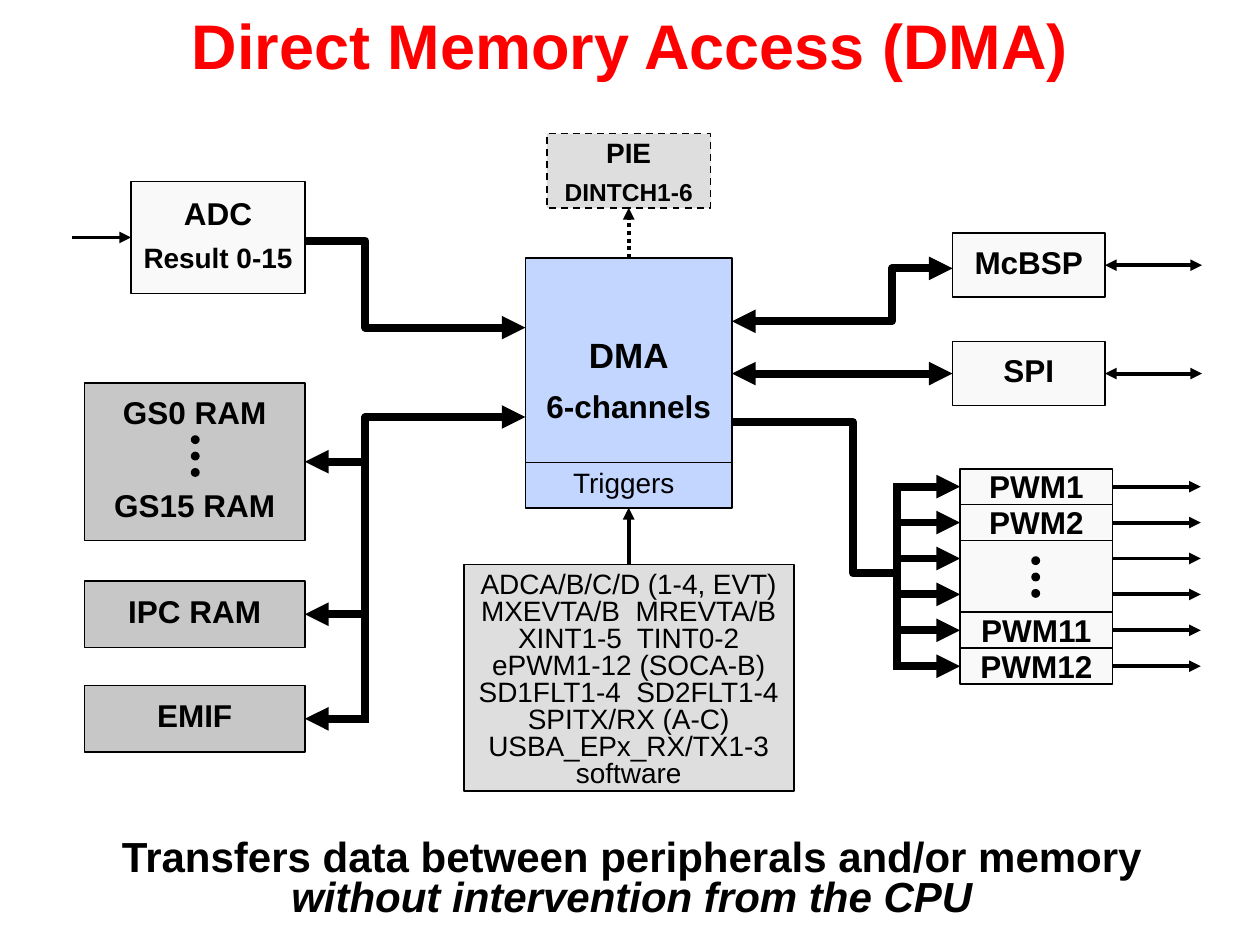
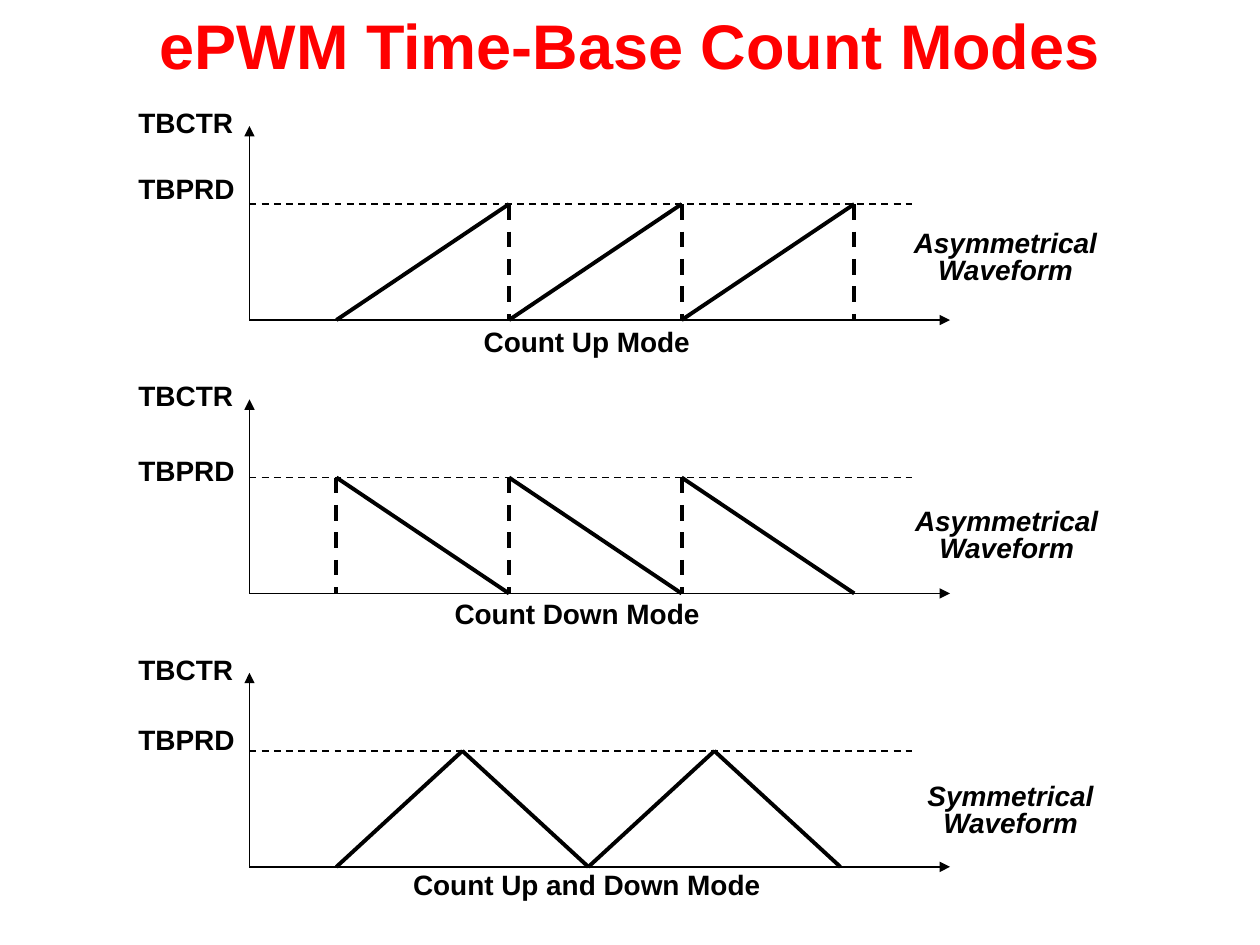
from lxml.etree import SubElement
from pptx import Presentation
from pptx.dml.color import RGBColor
from pptx.enum.dml import MSO_LINE
from pptx.enum.shapes import MSO_CONNECTOR, MSO_SHAPE
from pptx.enum.text import MSO_ANCHOR, PP_ALIGN
from pptx.oxml.ns import qn
from pptx.util import Inches, Pt

FONT = "Arial"
BLACK, RED = "000000", "FF0000"
PERIPHERAL, MEMORY, SOURCE, ENGINE = "F9F9F9", "C7C7C7", "DEDEDE", "C2D6FF"
BUS, SIGNAL, THIN = 4.5, 2.25, 1
TOP, LEFT, BOTTOM, RIGHT = range(4)


def color(hex_text):
    return RGBColor.from_string(hex_text)


def style_line(line, width, dash=None, head=False, tail=False):
    line.color.rgb = color(BLACK)
    line.width = Pt(width)
    if dash:
        line.dash_style = dash
    ln = line._get_or_add_ln()
    SubElement(ln, qn("a:round"))
    for tag, wanted in (("a:headEnd", head), ("a:tailEnd", tail)):
        if wanted:
            SubElement(ln, qn(tag), type="triangle")


def write(frame, lines, align=PP_ALIGN.CENTER, bold=True, italic=False,
          hue=BLACK, spacing=0.8, gap=0.58):
    """Fill a frame with (text, size) lines; gap is a share of the size."""
    frame.text = "\n".join(text for text, _ in lines)
    for index, (paragraph, (_, size)) in enumerate(zip(frame.paragraphs, lines)):
        paragraph.alignment = align
        paragraph.line_spacing = spacing
        paragraph.space_before = Pt(size * gap if index else 0)
        for run in paragraph.runs:
            font = run.font
            font.name, font.size = FONT, Pt(size)
            font.bold, font.italic = bold, italic
            font.color.rgb = color(hue)


def text_box(slide, box, lines, wrap=False, anchor=MSO_ANCHOR.TOP, **style):
    frame = slide.shapes.add_textbox(*map(Inches, box)).text_frame
    frame.word_wrap = wrap
    frame.vertical_anchor = anchor
    write(frame, lines, **style)
    return frame


def block(slide, box, fill, lines=(), dash=None, bottom_inset=0.05,
          kind=MSO_SHAPE.RECTANGLE, width=THIN, **style):
    shape = slide.shapes.add_shape(kind, *map(Inches, box))
    shape.shadow.inherit = False
    shape.fill.solid()
    shape.fill.fore_color.rgb = color(fill)
    style_line(shape.line, width, dash)
    if lines:
        frame = shape.text_frame
        frame.word_wrap = False
        frame.vertical_anchor = MSO_ANCHOR.MIDDLE
        frame.margin_bottom = Inches(bottom_inset)
        write(frame, lines, **style)
    return shape


def link(slide, start, end, width, begin=None, finish=None, **ends):
    """Straight line; begin and finish are (shape, side) to join."""
    line = slide.shapes.add_connector(
        MSO_CONNECTOR.STRAIGHT, *map(Inches, (*start, *end)))
    if begin:
        line.begin_connect(*begin)
    if finish:
        line.end_connect(*finish)
    style_line(line.line, width, **ends)
    SubElement(line._element.spPr, qn("a:effectLst"))
    return line


def bus_path(slide, points, **ends):
    corners = [(Inches(x), Inches(y)) for x, y in points]
    builder = slide.shapes.build_freeform(*corners[0])
    builder.add_line_segments(corners[1:], close=False)
    path = builder.convert_to_shape()
    path.shadow.inherit = False
    path.fill.background()
    style_line(path.line, BUS, **ends)


def ellipsis(slide, left, top):
    for step in range(3):
        block(slide, (left, top + 0.13 * step, 0.06, 0.06), BLACK,
              kind=MSO_SHAPE.OVAL, width=0.75)


def new_slide(deck, title):
    slide = deck.slides.add_slide(deck.slide_layouts[6])
    text_box(slide, (0, 0, 10, 0.81), [(title, 36)], wrap=True, hue=RED, spacing=1)
    return slide


# Direct memory access diagram

def dma_engine(slide, box):
    left, top, width, height = box
    right, middle = left + width, left + width / 2
    dma = block(slide, box, ENGINE, [("DMA", 20), ("6-channels", 18)])
    link(slide, (left, top + 1.62), (right, top + 1.62), THIN)
    text_box(slide, (left + 0.28, top + 1.65, 1.02, 0.31), [("Triggers", 16)],
             align=PP_ALIGN.LEFT, bold=False)

    # Interrupt output above, trigger sources below
    pie = block(slide, (middle - 0.65, top - 0.99, 1.3, 0.59), SOURCE,
                [("PIE", 16), ("DINTCH1-6", 14)], dash=MSO_LINE.DASH,
                bottom_inset=0)
    link(slide, (middle, top), (middle, top - 0.4), SIGNAL, (dma, TOP),
         (pie, BOTTOM), dash=MSO_LINE.ROUND_DOT, tail=True)
    triggers = ("ADCA/B/C/D (1-4, EVT)", "MXEVTA/B  MREVTA/B", "XINT1-5  TINT0-2",
                "ePWM1-12 (SOCA-B)", "SD1FLT1-4  SD2FLT1-4", "SPITX/RX (A-C)",
                "USBA_EPx_RX/TX1-3", "software")
    sources = block(slide, (middle - 1.31, top + 2.43, 2.62, 1.8), SOURCE,
                    [(name, 16) for name in triggers], bottom_inset=0,
                    bold=False, gap=0)
    link(slide, (middle, top + 2.43), (middle, top + height), SIGNAL,
         (sources, TOP), (dma, BOTTOM), tail=True)


def adc_input(slide, box, dma_left):
    left, top, width, height = box
    right, middle = left + width, top + height / 2
    adc = block(slide, box, PERIPHERAL, [("ADC", 18), ("Result 0-15", 16)])
    link(slide, (left - 0.47, middle), (left, middle), SIGNAL,
         finish=(adc, LEFT), tail=True)
    bus_path(slide, [(right, 1.91), (2.9, 1.91), (2.9, 2.6), (dma_left, 2.6)],
             tail=True)


def memories(slide, box, dma_left):
    left, top, width, height = box
    right, trunk = left + width, 2.9
    middle = top + height / 2
    block(slide, box, MEMORY, [("GS0 RAM", 18), ("GS15 RAM", 18)], gap=2)
    ellipsis(slide, left + 0.85, top + 0.42)
    bus_path(slide, [(right, middle), (trunk, middle), (trunk, 3.31),
                     (dma_left, 3.31)], head=True, tail=True)
    link(slide, (trunk, middle - 0.01), (trunk, 5.74), BUS)
    for name, memory_top in (("IPC RAM", 4.61), ("EMIF", 5.44)):
        memory = block(slide, (left, memory_top, width, 0.53), MEMORY, [(name, 18)])
        level = memory_top + 0.53 / 2
        link(slide, (right, level), (trunk, level), BUS, (memory, RIGHT), head=True)


def serial_ports(slide, left, dma_right):
    width, height = 1.21, 0.51
    right = left + width
    for name, top in (("McBSP", 1.85), ("SPI", 2.71)):
        port = block(slide, (left, top, width, height), PERIPHERAL, [(name, 18)])
        middle = top + height / 2
        link(slide, (right, middle), (9.54, middle), SIGNAL, (port, RIGHT),
             head=True, tail=True)
    # The loop ends on SPI, which faces the engine directly
    link(slide, (left, middle), (dma_right, middle), BUS, (port, LEFT),
         head=True, tail=True)
    bus_path(slide, [(dma_right, 2.55), (7.08, 2.55), (7.08, 2.13), (left, 2.13)],
             head=True, tail=True)


def pwm_bank(slide, box, dma_right):
    left, top, width, height = box
    right, row, trunk = left + width, height / 6, 7.12
    names = {0: "PWM1", 1: "PWM2", 4: "PWM11", 5: "PWM12"}
    block(slide, (left, top + 2 * row, width, 2 * row), PERIPHERAL)
    ellipsis(slide, left + 0.57, top + 0.7)
    for index in range(6):
        level = top + (index + 0.5) * row
        entry = exit_side = None
        if index in names:
            pwm = block(slide, (left, top + index * row, width, row), PERIPHERAL,
                        [(names[index], 18)], bottom_inset=0)
            entry, exit_side = (pwm, LEFT), (pwm, RIGHT)
        link(slide, (trunk - 0.03, level), (left, level), BUS, finish=entry, tail=True)
        link(slide, (right, level), (9.53, level), SIGNAL, exit_side, tail=True)
    link(slide, (trunk, top + 0.11), (trunk, top + height - 0.11), BUS)
    bus_path(slide, [(trunk, 4.55), (6.77, 4.55), (6.77, 3.35), (dma_right, 3.35)])


def dma_slide(deck):
    slide = new_slide(deck, "Direct Memory Access (DMA)")
    dma = (4.17, 2.05, 1.64, 1.98)
    dma_left, dma_right = dma[0], dma[0] + dma[2]
    dma_engine(slide, dma)
    adc_input(slide, (1.04, 1.44, 1.38, 0.89), dma_left)
    memories(slide, (0.67, 3.04, 1.75, 1.25), dma_left)
    serial_ports(slide, 7.56, dma_right)
    pwm_bank(slide, (7.62, 3.72, 1.21, 1.71), dma_right)

    # Summary, whose second half is in italics
    summary = text_box(slide, (0.42, 6.61, 9.19, 0.75),
                       [("Transfers data between peripherals and/or memory ", 24)],
                       wrap=True, anchor=MSO_ANCHOR.MIDDLE)
    emphasis = summary.paragraphs[0].add_run()
    emphasis.text = "without intervention from the CPU"
    font = emphasis.font
    font.name, font.size = FONT, Pt(24)
    font.bold = font.italic = True
    font.color.rgb = color(BLACK)


# Time-base count modes

def count_mode(slide, base, ramps, step, reset, period_top, mode, waveform):
    """Ramps are (start, end) levels; reset is the ramp end with a dashed drop."""
    axis, peak = 1.98, 0.92

    def height_of(level):
        return base - peak * level

    for index, (start, end) in enumerate(ramps):
        xs = (2.67 + step * index, 2.67 + step * (index + 1))
        link(slide, (xs[0], height_of(start)), (xs[1], height_of(end)), SIGNAL)
        if reset is not None:
            link(slide, (xs[reset], base - peak), (xs[reset], base), SIGNAL,
                 dash=MSO_LINE.DASH)

    # Axes and period level
    link(slide, (axis, base), (7.54, base), THIN, tail=True)
    link(slide, (axis, base), (axis, base - 1.54), THIN, tail=True)
    link(slide, (axis, base - peak), (7.24, base - peak), THIN, dash=MSO_LINE.DASH)

    # Labels
    mode_name, mode_left, mode_top, mode_width = mode
    for name, box in (("TBCTR", (1, base - 1.7, 1.02, 0.31)),
                      ("TBPRD", (1, period_top, 1.02, 0.31)),
                      (mode_name, (mode_left, mode_top, mode_width, 0.31))):
        text_box(slide, box, [(name, 16)], align=PP_ALIGN.LEFT)
    kind, kind_left, kind_top, kind_width = waveform
    text_box(slide, (kind_left, kind_top, kind_width, 0.53),
             [(kind, 16), ("Waveform", 16)], italic=True, gap=0)


def count_modes_slide(deck):
    slide = new_slide(deck, "ePWM Time-Base Count Modes")
    rise, fall = (0, 1), (1, 0)
    modes = (
        ([rise] * 3, 1.37, 1, 1.36, ("Count Up Mode", 3.74, 2.58, 1.88),
         ("Asymmetrical", 7.15, 1.79, 1.66)),
        ([fall] * 3, 1.37, 0, 3.6, ("Count Down Mode", 3.51, 4.74, 2.2),
         ("Asymmetrical", 7.16, 4, 1.66)),
        ([rise, fall] * 2, 1, None, 5.74, ("Count Up and Down Mode", 3.18, 6.89, 3.02),
         ("Symmetrical", 7.26, 6.18, 1.52)),
    )
    for index, mode in enumerate(modes):
        count_mode(slide, 2.54 + 2.17 * index, *mode)


def main():
    deck = Presentation()
    deck.slide_width, deck.slide_height = Inches(10), Inches(7.5)
    dma_slide(deck)
    count_modes_slide(deck)
    deck.save("out.pptx")


if __name__ == "__main__":
    main()
